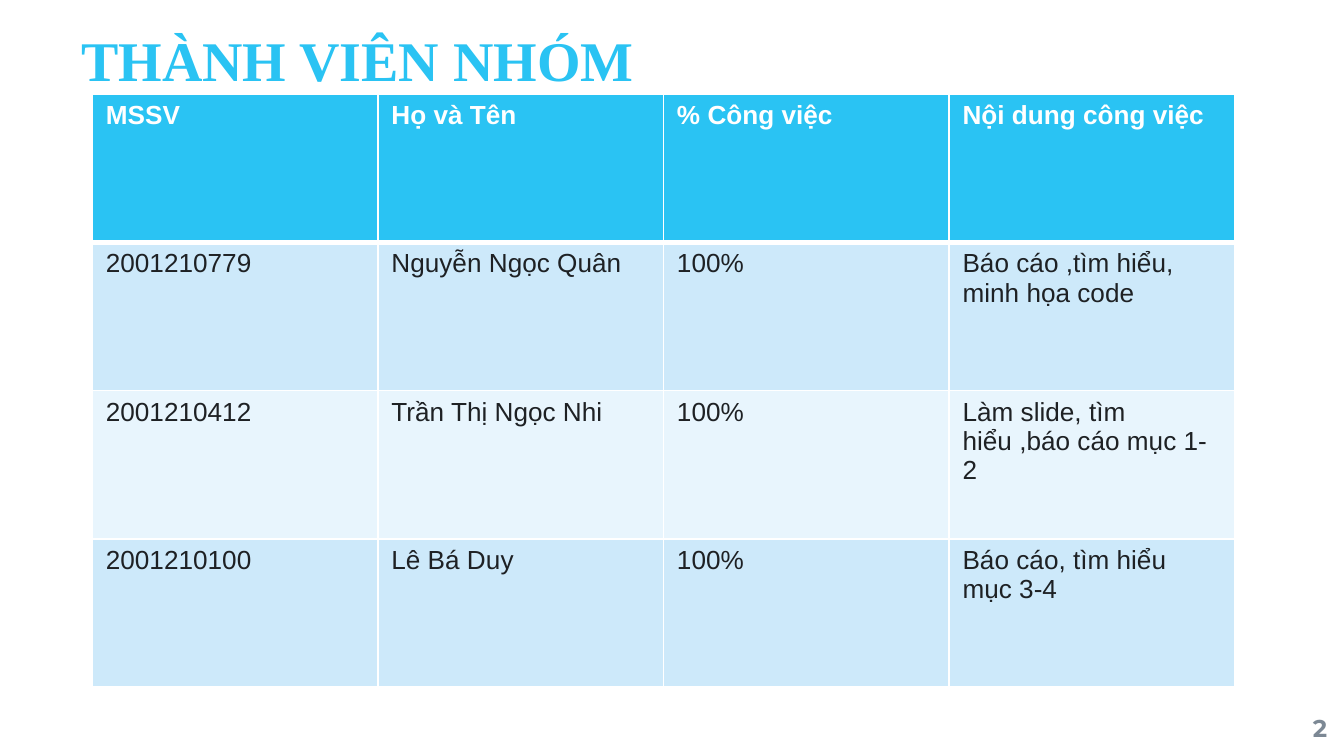
"""Build the team members slide: a title, a table of members and the page number."""
from lxml.etree import SubElement
from pptx import Presentation
from pptx.dml.color import RGBColor
from pptx.enum.text import MSO_ANCHOR as Anchor, PP_ALIGN as Align
from pptx.oxml.ns import qn
from pptx.util import Pt

PX = 9525
CYAN, WHITE, INK, GREY = "2AC3F3", "FFFFFF", "1E2124", "7C8894"
BANDS = ["CDE9FA", "E8F5FD"]
MEMBERS = [
    ["MSSV", "Họ và Tên", "% Công việc", "Nội dung công việc"],
    ["2001210779", "Nguyễn Ngọc Quân", "100%", "Báo cáo ,tìm hiểu, minh họa code"],
    ["2001210412", "Trần Thị Ngọc Nhi", "100%", "Làm slide, tìm hiểu ,báo cáo mục 1-2"],
    ["2001210100", "Lê Bá Duy", "100%", "Báo cáo, tìm hiểu mục 3-4"],
]
LABELS = [
    ("THÀNH VIÊN NHÓM", (58, 25, 780, 42), Anchor.BOTTOM,
     {"alignment": Align.LEFT, "line_spacing": 0.9}, ("Times New Roman", 30, CYAN)),
    ("2", (890, 499, 58, 41), Anchor.MIDDLE,
     {"alignment": Align.RIGHT}, ("Montserrat", 13, GREY)),
]


def color(value):
    return RGBColor.from_string(value)


def write(frame, text, name, size, ink, bold):
    para = frame.paragraphs[0]
    span = para.add_run()
    span.text = text
    for key, value in {"name": name, "size": Pt(size), "bold": bold}.items():
        setattr(span.font, key, value)
    span.font.color.rgb = color(ink)
    return para


deck = Presentation()
deck.slide_width, deck.slide_height = 960 * PX, 540 * PX
page = deck.slides.add_slide(deck.slide_layouts[6])

for text, place, anchor, layout, (name, size, ink) in LABELS:
    frame = page.shapes.add_textbox(*(length * PX for length in place)).text_frame
    settings = dict.fromkeys(["margin_left", "margin_top", "margin_right", "margin_bottom"], 0)
    settings.update(word_wrap=True, vertical_anchor=anchor)
    for key, value in settings.items():
        setattr(frame, key, value)
    para = write(frame, text, name, size, ink, True)
    for key, value in layout.items():
        setattr(para, key, value)

table = page.shapes.add_table(
    len(MEMBERS), len(MEMBERS[0]), 66 * PX, 67 * PX, 816 * PX, 424 * PX).table

for row, values in enumerate(MEMBERS):
    header = row == 0
    for column, text in enumerate(values):
        cell = table.cell(row, column)
        write(cell.text_frame, text, "Arial", 14, WHITE if header else INK, header)
        widths = {"lnL": 1, "lnR": 1, "lnT": 3 if row == 1 else 1, "lnB": 3 if header else 1}
        properties = cell._tc.get_or_add_tcPr()
        for side, width in widths.items():
            line = SubElement(properties, qn("a:" + side), w=str(Pt(width)))
            SubElement(SubElement(line, qn("a:solidFill")), qn("a:srgbClr"), val=WHITE)
        cell.fill.solid()
        cell.fill.fore_color.rgb = color(CYAN if header else BANDS[(row - 1) % 2])

deck.save("out.pptx")
